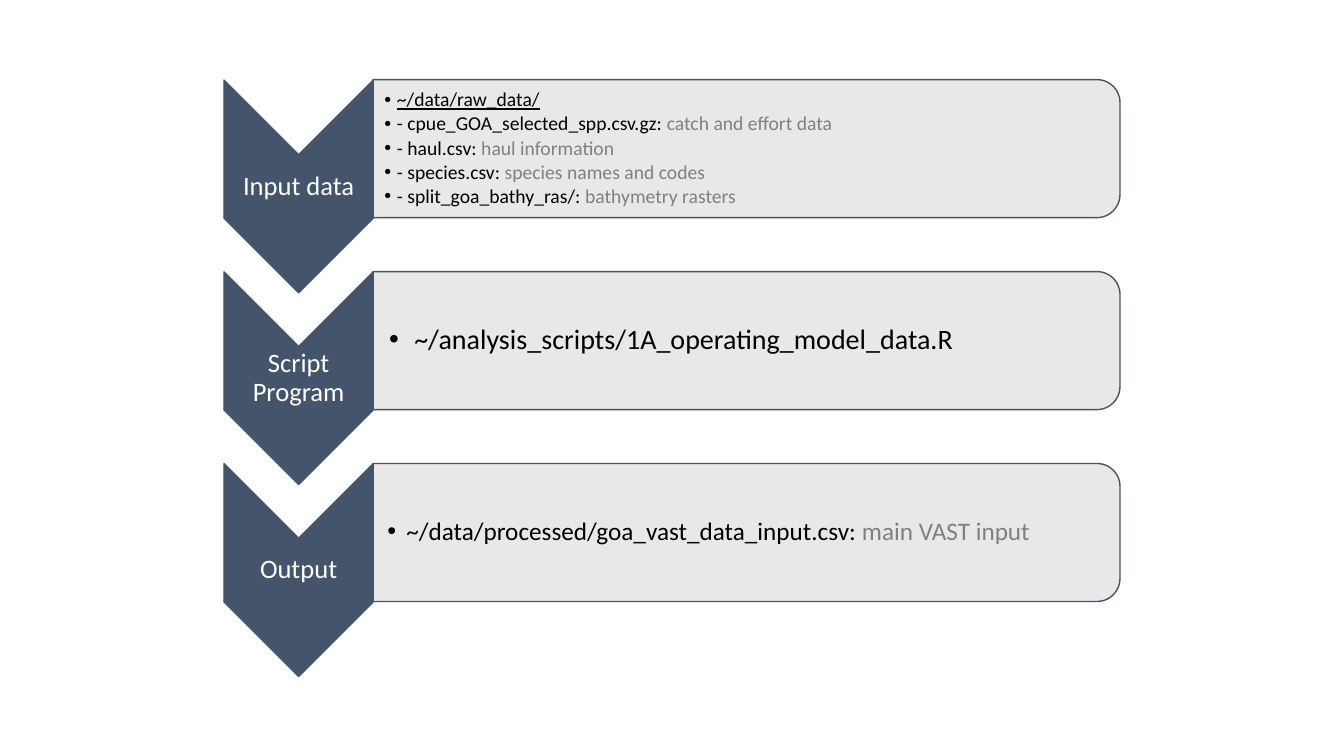
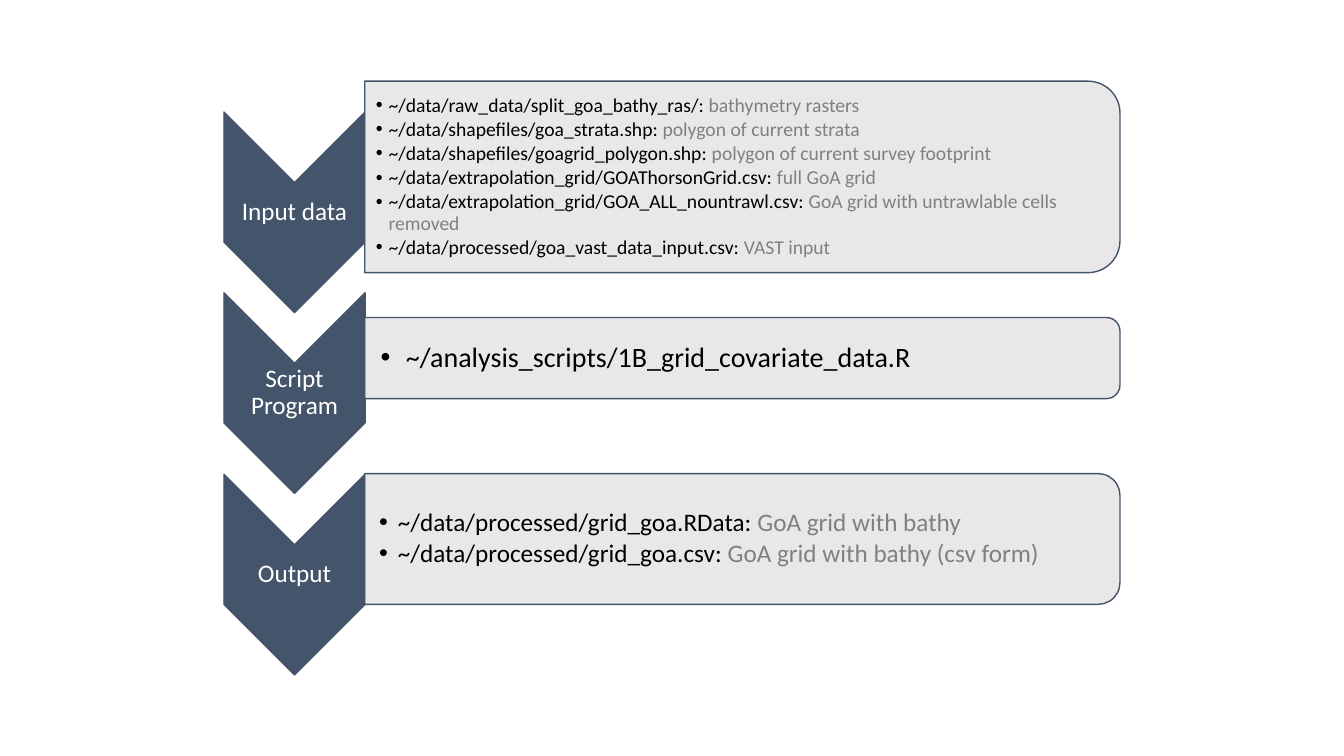
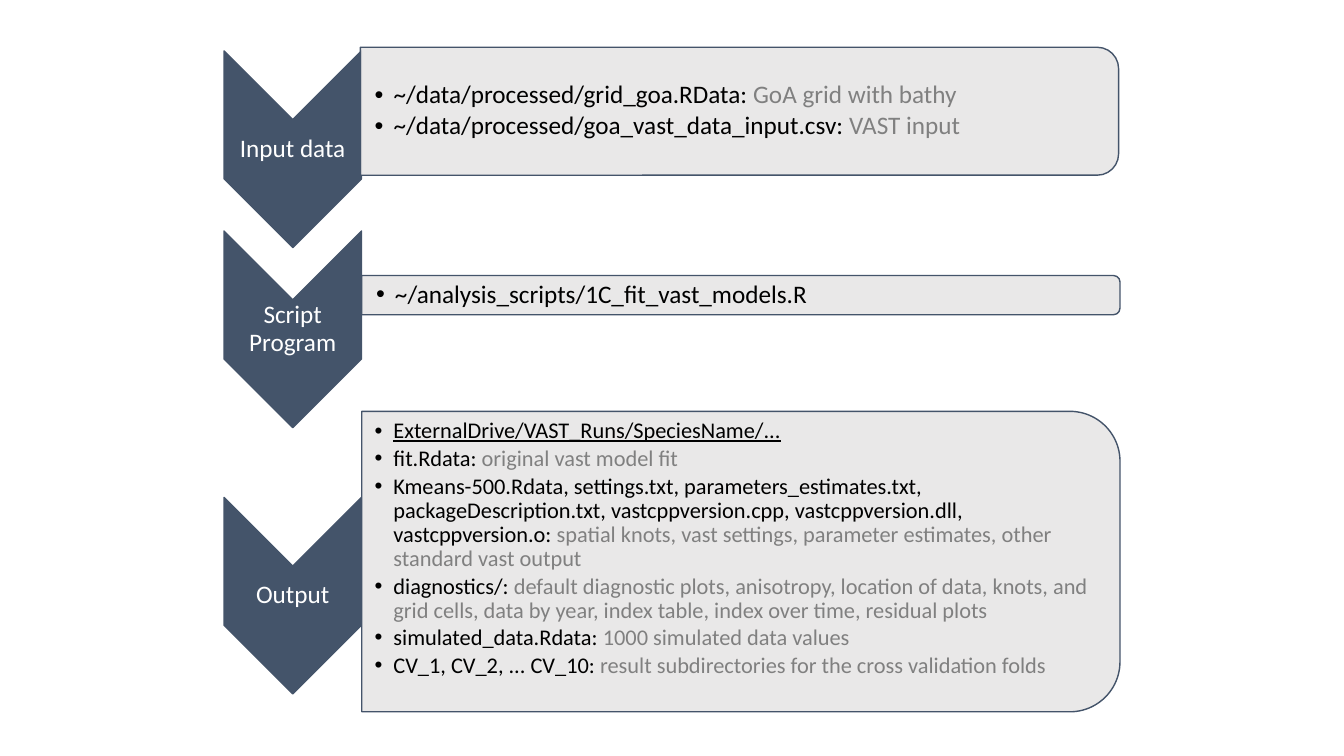
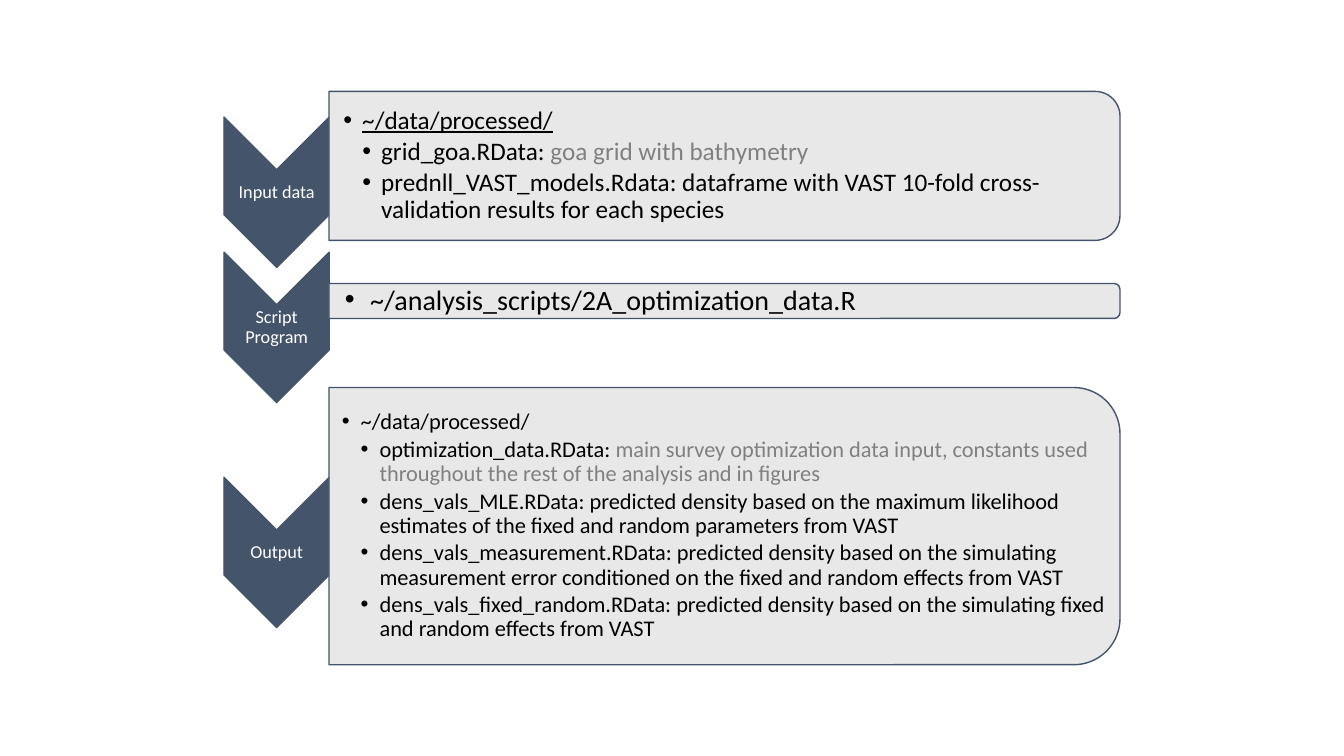
from collections import namedtuple

from lxml import etree
from pptx import Presentation
from pptx.dml.color import RGBColor
from pptx.enum.shapes import MSO_SHAPE
from pptx.enum.text import MSO_ANCHOR, PP_ALIGN
from pptx.oxml.ns import qn
from pptx.util import Pt

CHEVRON = MSO_SHAPE.CHEVRON
PANEL = MSO_SHAPE.ROUND_2_SAME_RECTANGLE
MIDDLE = MSO_ANCHOR.MIDDLE
CENTER = PP_ALIGN.CENTER
LEFT = PP_ALIGN.LEFT

SLATE = RGBColor(0x44, 0x54, 0x6A)
LIGHT = RGBColor(0xE7, 0xE6, 0xE6)
WHITE = RGBColor(0xFF, 0xFF, 0xFF)
BLACK = RGBColor(0x00, 0x00, 0x00)
GRAY = RGBColor(0x80, 0x80, 0x80)

FONT = "Calibri"
CHEVRON_LEFT = 160
EDGE = 0.7
CORNER_INSET = 0.0488
PANEL_OPACITY = 90
HANGING = {14: 9, 16: 13.5, 18: 13.5, 20: 18}
LABELS = ["Input data", "Script Program", "Output"]

Item = namedtuple("Item", "text note level underline", defaults=("", 1, False))
Stage = namedtuple("Stage", "chevron_y left panel_y height size items lift", defaults=(0,))
Flow = namedtuple("Flow", "chevron_width chevron_height label_size panel_width stages")

FLOWS = [
    Flow(106.6, 152, 19, 533.5, [
        Stage(133.2, 266.5, 106.2, 98.6, 14, [
            Item("~/data/raw_data/", underline=True),
            Item("- cpue_GOA_selected_spp.csv.gz: ", "catch and effort data"),
            Item("- haul.csv: ", "haul information"),
            Item("- species.csv: ", "species names and codes"),
            Item("- split_goa_bathy_ras/: ", "bathymetry rasters"),
        ]),
        Stage(270.2, 266.5, 243.3, 98.6, 20, [
            Item("~/analysis_scripts/1A_operating_model_data.R"),
        ]),
        Stage(407.2, 266.5, 380.4, 98.6, 18, [
            Item("~/data/processed/goa_vast_data_input.csv: ", "main VAST input"),
        ]),
    ]),
    Flow(100.8, 143.3, 18, 539.5, [
        Stage(151.7, 260.5, 126.4, 136.8, 14, [
            Item("~/data/raw_data/split_goa_bathy_ras/: ", "bathymetry rasters"),
            Item("~/data/shapefiles/goa_strata.shp: ", "polygon of current strata"),
            Item("~/data/shapefiles/goagrid_polygon.shp: ", "polygon of current survey footprint"),
            Item("~/data/extrapolation_grid/GOAThorsonGrid.csv: ", "full GoA grid"),
            Item("~/data/extrapolation_grid/GOA_ALL_nountrawl.csv: ",
                 "GoA grid with untrawlable cells removed"),
            Item("~/data/processed/goa_vast_data_input.csv: ", "VAST input"),
        ]),
        Stage(280.8, 260.5, 255.8, 58, 20, [
            Item("~/analysis_scripts/1B_grid_covariate_data.R"),
        ]),
        Stage(410.4, 260.5, 385, 93.4, 18, [
            Item("~/data/processed/grid_goa.RData: ", "GoA grid with bathy"),
            Item("~/data/processed/grid_goa.csv: ", "GoA grid with bathy (csv form)"),
        ]),
    ]),
    Flow(98.2, 140.4, 18, 541.6, [
        Stage(106.6, 257.4, 79.5, 91.4, 18, [
            Item("~/data/processed/grid_goa.RData: ", "GoA grid with bathy"),
            Item("~/data/processed/goa_vast_data_input.csv: ", "VAST input"),
        ]),
        Stage(235.2, 258.4, 210.8, 28, 18, [
            Item("~/analysis_scripts/1C_fit_vast_models.R"),
        ]),
        Stage(425.5, 258.4, 401.1, 214.6, 16, [
            Item("ExternalDrive/VAST_Runs/SpeciesName/...", underline=True),
            Item("fit.Rdata: ", "original vast model fit"),
            Item("Kmeans-500.Rdata, settings.txt, parameters_estimates.txt, "
                 "packageDescription.txt, vastcppversion.cpp, vastcppversion.dll, "
                 "vastcppversion.o: ",
                 "spatial knots, vast settings, parameter estimates, other standard vast output"),
            Item("diagnostics/: ",
                 "default diagnostic plots, anisotropy, location of data, knots, and grid cells, "
                 "data by year, index table, index over time, residual plots"),
            Item("simulated_data.Rdata: ", "1000 simulated data values"),
            Item("CV_1, CV_2, ... CV_10: ", "result subdirectories for the cross validation folds"),
        ], 9),
    ]),
    Flow(75.2, 107.4, 13, 565, [
        Stage(137.3, 235, 118.5, 106.4, 18, [
            Item("~/data/processed/", underline=True),
            Item("grid_goa.RData: ", "goa grid with bathymetry", 2),
            Item("prednll_VAST_models.Rdata: dataframe with VAST 10-fold cross-validation "
                 "results for each species", level=2),
        ]),
        Stage(233.8, 235, 215, 25, 20, [
            Item("~/analysis_scripts/2A_optimization_data.R"),
        ]),
        Stage(394.6, 235, 375.8, 198, 16, [
            Item("~/data/processed/"),
            Item("optimization_data.RData: ",
                 "main survey optimization data input, constants used throughout the rest "
                 "of the analysis and in figures", 2),
            Item("dens_vals_MLE.RData: predicted density based on the maximum likelihood "
                 "estimates of the fixed and random parameters from VAST", level=2),
            Item("dens_vals_measurement.RData: predicted density based on the simulating "
                 "measurement error conditioned on the fixed and random effects from VAST", level=2),
            Item("dens_vals_fixed_random.RData: predicted density based on the simulating "
                 "fixed and random effects from VAST", level=2),
        ]),
    ]),
]


def apply(target, values):
    for name, value in values.items():
        setattr(target, name, value)


def add_turned(slide, preset, left, middle, width, height, color):
    shape = slide.shapes.add_shape(
        preset, Pt(left + (width - height) / 2), Pt(middle - width / 2), Pt(height), Pt(width))
    shape.rotation = 90
    shape.shadow.inherit = False
    shape.fill.solid()
    shape.fill.fore_color.rgb = color
    shape.line.color.rgb = SLATE
    shape.line.width = Pt(1)
    return shape


def add_frame(slide, left, middle, width, height, indent=EDGE):
    box = slide.shapes.add_textbox(Pt(left), Pt(middle - height / 2), Pt(width), Pt(height))
    apply(box.text_frame, {
        "word_wrap": True, "vertical_anchor": MIDDLE, "margin_left": Pt(indent),
        "margin_top": Pt(EDGE), "margin_right": Pt(EDGE), "margin_bottom": Pt(EDGE)})
    return box.text_frame


def format_paragraph(paragraph, align, size, gap):
    apply(paragraph, {"alignment": align, "line_spacing": 0.9, "space_after": Pt(size * gap)})


def add_run(paragraph, text, size, color, underline=False):
    run = paragraph.add_run()
    run.text = text
    apply(run.font, {"name": FONT, "size": Pt(size), "underline": underline})
    run.font.color.rgb = color


def add_bullet(paragraph, level, hanging):
    paragraph.level = level
    properties = paragraph._p.get_or_add_pPr()
    properties.set("marL", str(Pt(hanging * level)))
    properties.set("indent", str(-Pt(hanging)))
    etree.SubElement(properties, qn("a:buFont")).set("typeface", "Arial")
    etree.SubElement(properties, qn("a:buChar")).set("char", "•")


def add_label(slide, flow, stage, label):
    width, height = flow.chevron_width, flow.chevron_height
    add_turned(slide, CHEVRON, CHEVRON_LEFT, stage.chevron_y, width, height, SLATE)
    frame = add_frame(slide, CHEVRON_LEFT, stage.chevron_y, width, height - width)
    paragraph = frame.paragraphs[0]
    format_paragraph(paragraph, CENTER, flow.label_size, 0.35)
    add_run(paragraph, label, flow.label_size, WHITE)


def add_panel(slide, flow, stage):
    panel = add_turned(slide, PANEL, stage.left, stage.panel_y,
                       flow.panel_width, stage.height, LIGHT)
    tint = panel._element.spPr.find(qn("a:solidFill"))[0]
    etree.SubElement(tint, qn("a:alpha")).set("val", str(PANEL_OPACITY * 1000))
    inset = stage.height * CORNER_INSET
    frame = add_frame(slide, stage.left, stage.panel_y - stage.lift,
                      flow.panel_width - inset, stage.height - 2 * inset, stage.size * 0.57)
    for index, item in enumerate(stage.items):
        paragraph = frame.add_paragraph() if index else frame.paragraphs[0]
        format_paragraph(paragraph, LEFT, stage.size, 0.15)
        add_bullet(paragraph, item.level, HANGING[stage.size])
        add_run(paragraph, item.text, stage.size, BLACK, item.underline)
        if item.note:
            add_run(paragraph, item.note, stage.size, GRAY)


def main():
    deck = Presentation()
    deck.slide_width, deck.slide_height = Pt(960), Pt(540)
    for flow in FLOWS:
        slide = deck.slides.add_slide(deck.slide_layouts[6])
        for label, stage in zip(LABELS, flow.stages):
            add_label(slide, flow, stage, label)
            add_panel(slide, flow, stage)
    deck.save("out.pptx")


if __name__ == "__main__":
    main()
